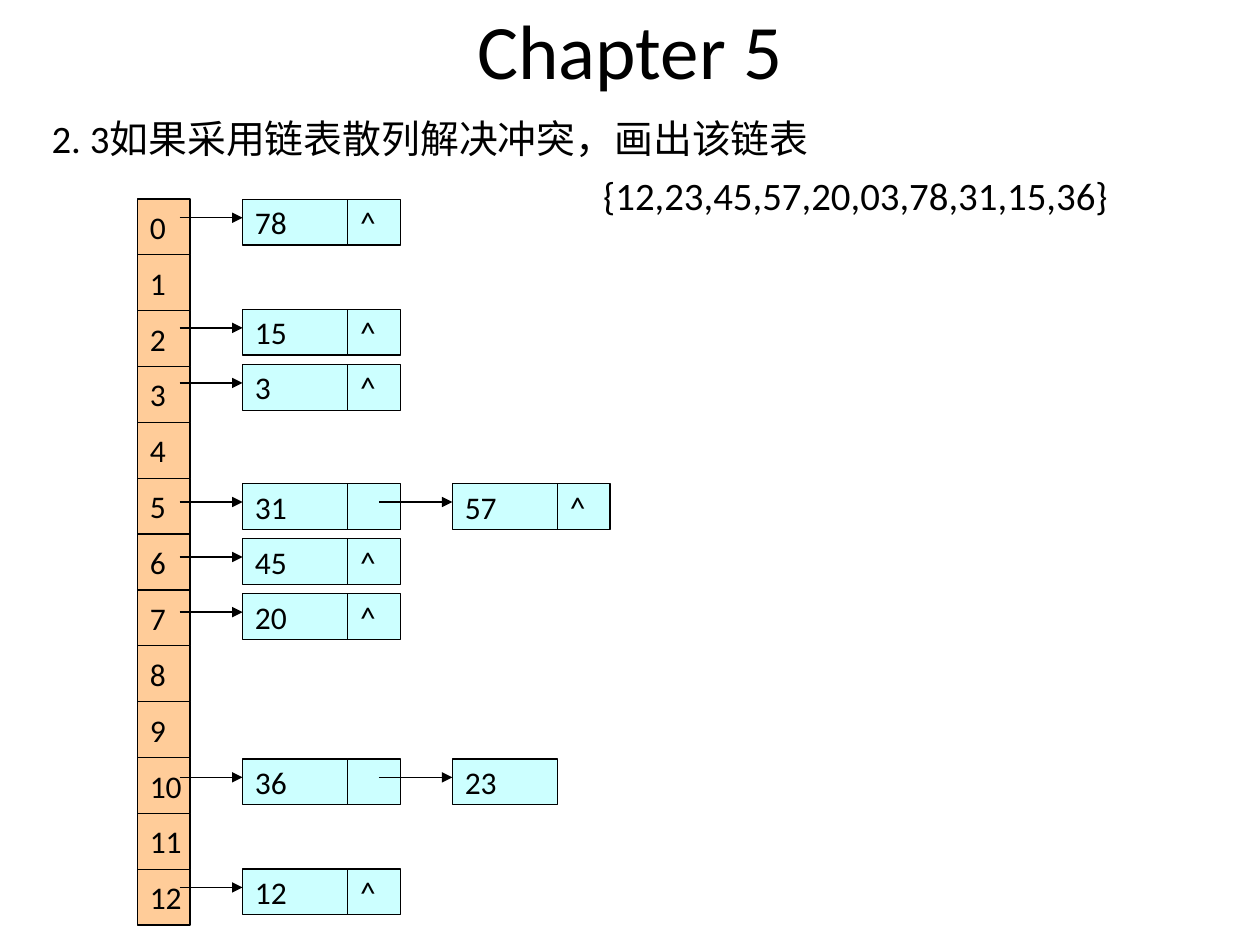
from dataclasses import dataclass

from lxml import etree
from pptx import Presentation
from pptx.dml.color import RGBColor
from pptx.enum.shapes import MSO_CONNECTOR, MSO_SHAPE
from pptx.enum.text import MSO_ANCHOR, PP_ALIGN
from pptx.oxml.ns import qn
from pptx.util import Cm, Pt

RECTANGLE = MSO_SHAPE.RECTANGLE
STRAIGHT = MSO_CONNECTOR.STRAIGHT
TOP, MIDDLE = MSO_ANCHOR.TOP, MSO_ANCHOR.MIDDLE
LEFT, CENTER = PP_ALIGN.LEFT, PP_ALIGN.CENTER


@dataclass(frozen=True)
class Theme:
    font: str = "Calibri"
    ink: RGBColor = RGBColor(0x00, 0x00, 0x00)
    slot: RGBColor = RGBColor(0xFF, 0xCC, 0x99)
    node: RGBColor = RGBColor(0xCC, 0xFF, 0xFF)
    title_size: float = 44
    body_size: float = 22.2
    cell_size: float = 18
    line_width: float = 0.75


@dataclass(frozen=True)
class Box:
    left: float
    top: float
    width: float
    height: float

    def lengths(self):
        return Cm(self.left), Cm(self.top), Cm(self.width), Cm(self.height)


THEME = Theme()
SLOT_COUNT = 13
END = "^"
CHAINS = {
    0: [("78", END)],
    2: [("15", END)],
    3: [("3", END)],
    5: [("31", ""), ("57", END)],
    6: [("45", END)],
    7: [("20", END)],
    10: [("36", ""), ("23", None)],
    12: [("12", END)],
}
CHAIN_PITCH = 1.11
LOWER_ROW, LOWER_SHIFT = 5, 0.18
NODE_STEP = 4.23
NODE_HEIGHT = 0.92
VALUE_WIDTH, LINK_WIDTH = 2.12, 1.06
ARROW_DROP = 0.37
SLOT_ARROW, LINK_ARROW = 1.27, 1.48


def write_text(frame, text, size, align=LEFT, anchor=TOP, wrap=True,
               before=0, indent=0, append=False):
    frame.word_wrap = wrap
    frame.vertical_anchor = anchor
    para = frame.add_paragraph() if append else frame.paragraphs[0]
    para.alignment = align
    para.space_before = Pt(before)
    if indent:
        para._p.get_or_add_pPr().set("marL", str(Cm(indent)))
    span = para.add_run()
    span.text = text
    span.font.name = THEME.font
    span.font.size = Pt(size)
    span.font.color.rgb = THEME.ink


def draw_cell(group, box, fill, text):
    cell = group.shapes.add_shape(RECTANGLE, *box.lengths())
    cell.shadow.inherit = False
    cell.fill.solid()
    cell.fill.fore_color.rgb = fill
    cell.line.color.rgb = THEME.ink
    cell.line.width = Pt(THEME.line_width)
    if text:
        write_text(cell.text_frame, text, THEME.cell_size, anchor=MIDDLE, wrap=False)


def draw_arrow(group, end, y, length):
    arrow = group.shapes.add_connector(STRAIGHT, Cm(end - length), Cm(y), Cm(end), Cm(y))
    arrow.line.color.rgb = THEME.ink
    arrow.line.width = Pt(THEME.line_width)
    etree.SubElement(arrow.line._get_or_add_ln(), qn("a:tailEnd"), type="triangle")
    etree.SubElement(arrow._element.spPr, qn("a:effectLst"))


def draw_title(page, box):
    frame = page.shapes.add_textbox(*box.lengths()).text_frame
    write_text(frame, "Chapter 5", THEME.title_size, align=CENTER, anchor=MIDDLE)


def draw_question(page, box):
    frame = page.shapes.add_textbox(*box.lengths()).text_frame
    write_text(frame, "2. 3如果采用链表散列解决冲突，画出该链表", THEME.body_size)
    write_text(frame, "{12,23,45,57,20,03,78,31,15,36}", THEME.body_size,
               before=6, indent=11.12, append=True)


def draw_slots(group, box):
    height = box.height / SLOT_COUNT
    for row in range(SLOT_COUNT):
        slot = Box(box.left, box.top + row * height, box.width, height)
        draw_cell(group, slot, THEME.slot, str(row))


def draw_chains(group, box):
    for row, nodes in CHAINS.items():
        shift = LOWER_SHIFT if row >= LOWER_ROW else 0
        top = box.top + row * CHAIN_PITCH + shift
        lefts = [box.left + index * NODE_STEP for index in range(len(nodes))]
        for left, (value, link) in zip(lefts, nodes):
            draw_cell(group, Box(left, top, VALUE_WIDTH, NODE_HEIGHT), THEME.node, value)
            if link is not None:
                link_box = Box(left + VALUE_WIDTH, top, LINK_WIDTH, NODE_HEIGHT)
                draw_cell(group, link_box, THEME.node, link)
        for index, left in enumerate(lefts):
            draw_arrow(group, left, top + ARROW_DROP, LINK_ARROW if index else SLOT_ARROW)


def main():
    deck = Presentation()
    deck.slide_width, deck.slide_height = Cm(25.4), Cm(19.05)
    page = deck.slides.add_slide(deck.slide_layouts[6])
    draw_title(page, Box(1.27, -0.2, 22.86, 2.38))
    draw_question(page, Box(0.79, 2.18, 21.82, 2.97))
    hash_table = page.shapes.add_group_shape()
    draw_slots(hash_table, Box(2.77, 4.01, 1.06, 14.64))
    draw_chains(hash_table, Box(4.89, 4.02, 7.41, 14.43))
    deck.save("out.pptx")


if __name__ == "__main__":
    main()
